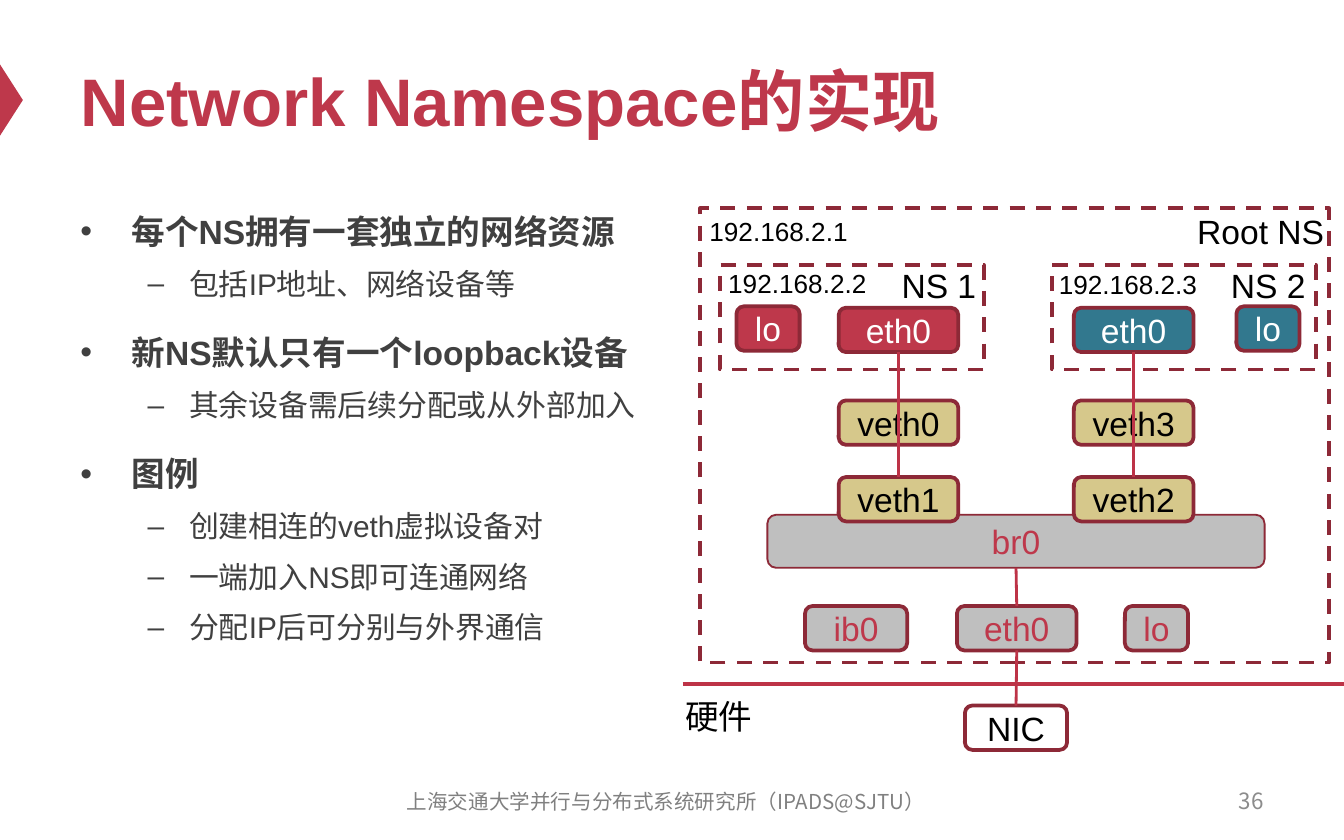
from lxml import etree
from pptx import Presentation
from pptx.dml.color import RGBColor
from pptx.enum.dml import MSO_LINE
from pptx.enum.shapes import MSO_CONNECTOR, MSO_SHAPE
from pptx.enum.text import MSO_ANCHOR, MSO_AUTO_SIZE, PP_ALIGN
from pptx.oxml.ns import qn
from pptx.util import Inches, Pt

RECT, ROUND, TRIANGLE = MSO_SHAPE.RECTANGLE, MSO_SHAPE.ROUNDED_RECTANGLE, MSO_SHAPE.ISOSCELES_TRIANGLE
LEFT, CENTER, RIGHT = PP_ALIGN.LEFT, PP_ALIGN.CENTER, PP_ALIGN.RIGHT
MIDDLE, TOP = MSO_ANCHOR.MIDDLE, MSO_ANCHOR.TOP
STRAIGHT, DASH = MSO_CONNECTOR.STRAIGHT, MSO_LINE.DASH
NO_FIT, FIT_SHAPE = MSO_AUTO_SIZE.NONE, MSO_AUTO_SIZE.SHAPE_TO_FIT_TEXT
CJK = "Noto Sans CJK SC"
RED, DARK_RED, WIRE_RED, TEAL = "BE384B", "8D2937", "BD3347", "32788E"
SAND, SILVER, WHITE, BLACK = "D6C88B", "BFBFBF", "FFFFFF", "000000"
color = RGBColor.from_string

deck = Presentation()
deck.slide_width, deck.slide_height = Inches(10), Inches(6.25)
COL, ROW = deck.slide_width / 100, deck.slide_height / 62.5
slide = deck.slides.add_slide(deck.slide_layouts[5])
shapes = slide.shapes


def grid(left, top, width, height):
    return [round(n * unit) for n, unit in zip((left, top, width, height), (COL, ROW, COL, ROW))]


def write(paragraph, text, size, hue, bold=False, face="Arial", align=LEFT):
    paragraph.alignment = align
    run = paragraph.add_run()
    run.text = text
    run.font.size, run.font.bold, run.font.name = Pt(size), bold, face
    run.font.color.rgb = color(hue)
    latin = run._r.rPr.find(qn("a:latin"))
    east_asian = etree.Element(qn("a:ea"), typeface=CJK)
    latin.addnext(east_asian)


marker = shapes.add_shape(TRIANGLE, *grid(-1.8, 6.6, 5.3, 1.7))
marker.rotation = 90
marker.shadow.inherit = False
marker.fill.solid()
marker.fill.fore_color.rgb = color(RED)
marker.line.fill.background()

title = shapes.title
title.left, title.top, title.width, title.height = grid(5, 2.5, 90, 9.8)
title.text_frame.vertical_anchor = MIDDLE
title.text_frame.auto_size = NO_FIT
write(title.text_frame.paragraphs[0], "Network Namespace的实现", 36, RED, True)

points = [
    (0, "每个NS拥有一套独立的网络资源"),
    (1, "包括IP地址、网络设备等"),
    (0, "新NS默认只有一个loopback设备"),
    (1, "其余设备需后续分配或从外部加入"),
    (0, "图例"),
    (1, "创建相连的veth虚拟设备对"),
    (1, "一端加入NS即可连通网络"),
    (1, "分配IP后可分别与外界通信"),
]
levels = [("•", 18, 0.38, -0.38, 12), ("–", 16, 0.81, -0.31, 4)]
body = shapes.add_textbox(*grid(5, 14.6, 90, 41.2)).text_frame
body.word_wrap = True
for index, (level, point) in enumerate(points):
    bullet, size, margin, indent, gap = levels[level]
    paragraph = body.paragraphs[0] if index == 0 else body.add_paragraph()
    paragraph.level = level
    paragraph.line_spacing = 1.2
    paragraph.space_before = Pt(gap if index else 0)
    properties = paragraph._p.get_or_add_pPr()
    properties.set("marL", str(Inches(margin)))
    properties.set("indent", str(Inches(indent)))
    etree.SubElement(properties, qn("a:buFont"), typeface="Arial")
    etree.SubElement(properties, qn("a:buChar"), char=bullet)
    write(paragraph, point, size, "404040", level == 0)

for place, text, size, hue, align in [
    ((71.7, 57.9, 23.3, 3.3), "36", 12, "8C8C8C", RIGHT),
    ((27.9, 58, 43.3, 3.3), "上海交通大学并行与分布式系统研究所（IPADS@SJTU）", 11, "808080", CENTER),
]:
    footer = shapes.add_textbox(*grid(*place)).text_frame
    footer.word_wrap = True
    footer.vertical_anchor = MIDDLE
    write(footer.paragraphs[0], text, size, hue, face=CJK, align=align)

for place in [(52.1, 15.5, 46.8, 33.8), (53.6, 19.7, 19.6, 7.8), (78.3, 19.7, 19.6, 7.8)]:
    namespace = shapes.add_shape(RECT, *grid(*place))
    namespace.shadow.inherit = False
    namespace.fill.background()
    namespace.line.color.rgb = color(DARK_RED)
    namespace.line.width = Pt(2)
    namespace.line.dash_style = DASH

devices = [
    ("bridge", "br0", (57.1, 38.3, 37, 3.95), SILVER, RED, 1),
    ("root ib0", "ib0", (59.9, 45.1, 7.6, 3.3), SILVER, RED, 2),
    ("root eth0", "eth0", (71.2, 45.1, 8.9, 3.3), SILVER, RED, 2),
    ("root lo", "lo", (83.7, 45.1, 4.7, 3.3), SILVER, RED, 2),
    ("nic", "NIC", (71.8, 52.5, 7.6, 3.3), WHITE, BLACK, 2),
]
for name, left, lo_left, hue, outer, inner in [
    ("ns1", 62.4, 54.8, RED, "veth0", "veth1"),
    ("ns2", 79.9, 92, TEAL, "veth3", "veth2"),
]:
    devices += [
        (name + " lo", "lo", (lo_left, 22.8, 4.7, 3.3), hue, WHITE, 2),
        (name + " eth0", "eth0", (left, 22.9, 8.9, 3.3), hue, WHITE, 2),
        (name + " outer", outer, (left, 29.8, 8.9, 3.3), SAND, BLACK, 2),
        (name + " inner", inner, (left, 35.5, 8.9, 3.3), SAND, BLACK, 2),
    ]
placed = {}
for key, text, place, fill, hue, weight in devices:
    device = placed[key] = shapes.add_shape(ROUND, *grid(*place))
    device.shadow.inherit = False
    device.fill.solid()
    device.fill.fore_color.rgb = color(fill)
    device.line.color.rgb = color(DARK_RED)
    device.line.width = Pt(weight)
    device.text_frame.vertical_anchor = MIDDLE
    write(device.text_frame.paragraphs[0], text, 18, hue, align=CENTER)

boundary = shapes.add_connector(STRAIGHT, *grid(50.8, 50.9, 100, 50.9))
wires = [(boundary, 2)]
for start, end, end_side in [
    ("ns1 eth0", "ns1 outer", 2),
    ("ns1 outer", "ns1 inner", 0),
    ("ns2 eth0", "ns2 outer", 2),
    ("ns2 outer", "ns2 inner", 0),
    ("bridge", "root eth0", 0),
    ("root eth0", "nic", 0),
]:
    wire = shapes.add_connector(STRAIGHT, 0, 0, 0, 0)
    wire.begin_connect(placed[start], 2)
    wire.end_connect(placed[end], end_side)
    wires.append((wire, 1.5))
for wire, weight in wires:
    wire.line.color.rgb = color(WIRE_RED)
    wire.line.width = Pt(weight)
    etree.SubElement(wire._element.spPr, qn("a:effectLst"))

for text, size, place in [
    ("Root NS", 18, (88.1, 15.2, 11.6, 4)),
    ("NS 1", 18, (66.1, 19.2, 7.6, 4)),
    ("NS 2", 18, (90.6, 19.2, 7.6, 4)),
    ("硬件", 18, (50, 51.3, 7.1, 4)),
    ("192.168.2.1", 14, (51.8, 15.5, 12.3, 3.4)),
    ("192.168.2.2", 14, (53.2, 19.4, 12.3, 3.4)),
    ("192.168.2.3", 14, (77.8, 19.5, 12.3, 3.4)),
]:
    label = shapes.add_textbox(*grid(*place)).text_frame
    label.word_wrap = False
    label.auto_size = FIT_SHAPE
    label.vertical_anchor = TOP
    write(label.paragraphs[0], text, size, BLACK)

deck.save("out.pptx")
